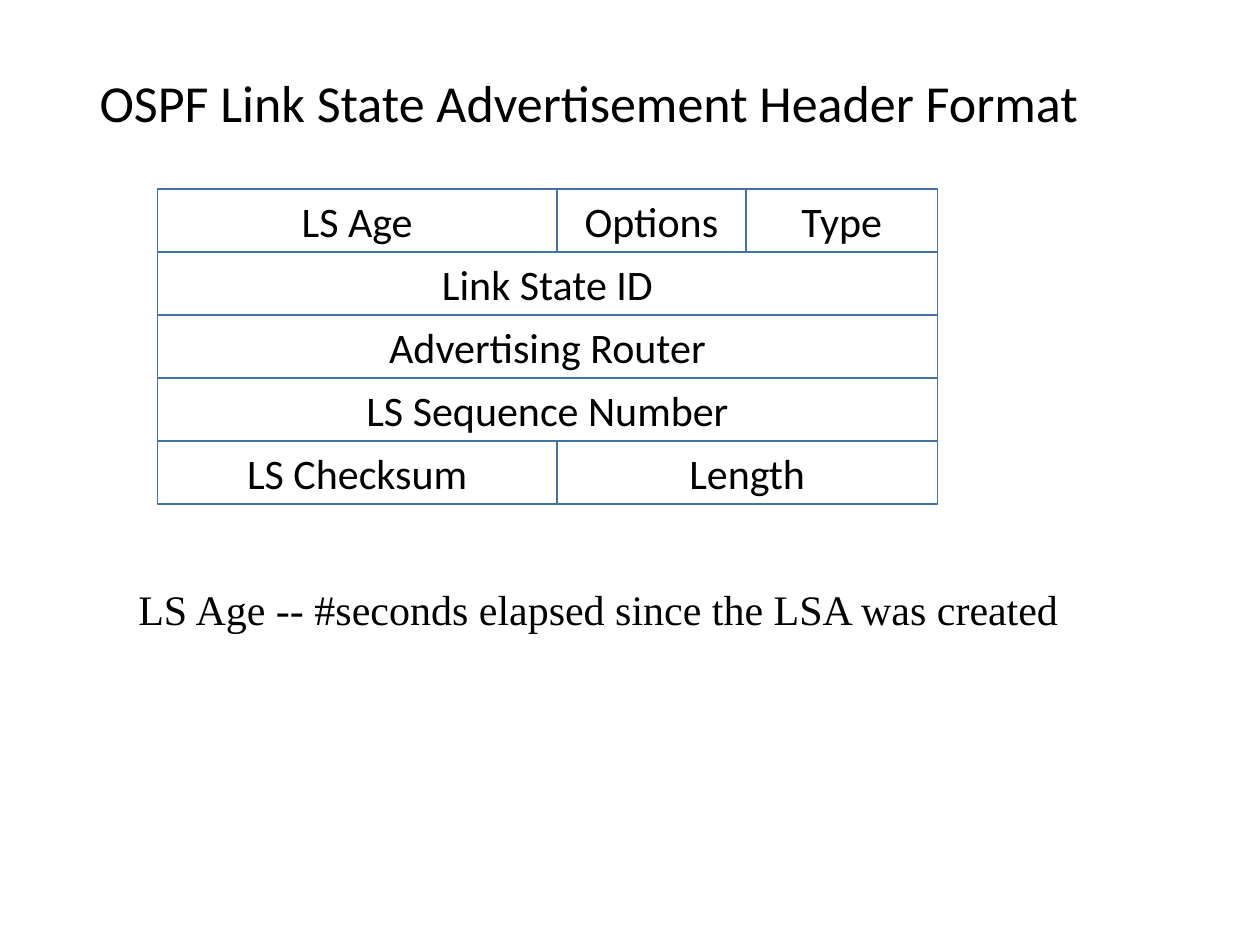
from pptx import Presentation
from pptx.dml.color import RGBColor
from pptx.enum import shapes, text
from pptx.util import Inches, Pt

ROW_HEIGHT = 0.5
HEADER_ROWS = [
    [("LS Age", 3.17), ("Options", 1.5), ("Type", 1.52)],
    [("Link State ID", 6.19)],
    [("Advertising Router", 6.19)],
    [("LS Sequence Number", 6.19)],
    [("LS Checksum", 3.17), ("Length", 3.02)],
]


def colour(value):
    """Turn a hex string into a colour."""
    return RGBColor.from_string(value)


def write(frame, words, size, font, align, anchor):
    """Write one formatted run into a text frame."""
    frame.auto_size = text.MSO_AUTO_SIZE.NONE
    frame.vertical_anchor = anchor
    para = frame.paragraphs[0]
    para.alignment = align
    span = para.add_run()
    span.text = words
    span.font.size = Pt(size)
    span.font.name = font
    span.font.color.rgb = colour("000000")
    return para


def add_title(page, left, top, width, height):
    """Place and fill the title placeholder."""
    title = page.shapes.title
    title.left, title.top = Inches(left), Inches(top)
    title.width, title.height = Inches(width), Inches(height)
    para = write(title.text_frame, "OSPF Link State Advertisement Header Format",
                 29.7, "Calibri", text.PP_ALIGN.LEFT, text.MSO_ANCHOR.MIDDLE)
    para.line_spacing = 0.9


def add_field(page, name, left, top, width):
    """Draw one outlined header field."""
    field = page.shapes.add_shape(
        shapes.MSO_SHAPE.RECTANGLE,
        Inches(left), Inches(top), Inches(width), Inches(ROW_HEIGHT))
    field.shadow.inherit = False
    field.fill.background()
    field.line.color.rgb = colour("43739E")
    field.line.width = Pt(1)
    field.text_frame.word_wrap = True
    write(field.text_frame, name, 24, "Calibri",
          text.PP_ALIGN.CENTER, text.MSO_ANCHOR.MIDDLE)


def add_header(page, left, top):
    """Stack the header rows, each filled from left to right."""
    for index, row in enumerate(HEADER_ROWS):
        start = left
        for name, width in row:
            add_field(page, name, start, top + index * ROW_HEIGHT, width)
            start += width


def add_note(page, left, top, width, height):
    """Add the explanation below the header."""
    box = page.shapes.add_textbox(
        Inches(left), Inches(top), Inches(width), Inches(height))
    box.text_frame.word_wrap = True
    write(box.text_frame, "LS Age -- #seconds elapsed since the LSA was created",
          24, "Times New Roman", text.PP_ALIGN.LEFT, text.MSO_ANCHOR.TOP)


def main():
    """Build and save the slide."""
    deck = Presentation()
    deck.slide_width, deck.slide_height = Inches(10), Inches(7.5)
    page = deck.slides.add_slide(deck.slide_layouts[5])
    add_title(page, 0.69, 0.33, 8.62, 1.02)
    add_header(page, 1.25, 1.5)
    add_note(page, 1, 4.58, 7.66, 0.91)
    deck.save("out.pptx")


if __name__ == "__main__":
    main()
